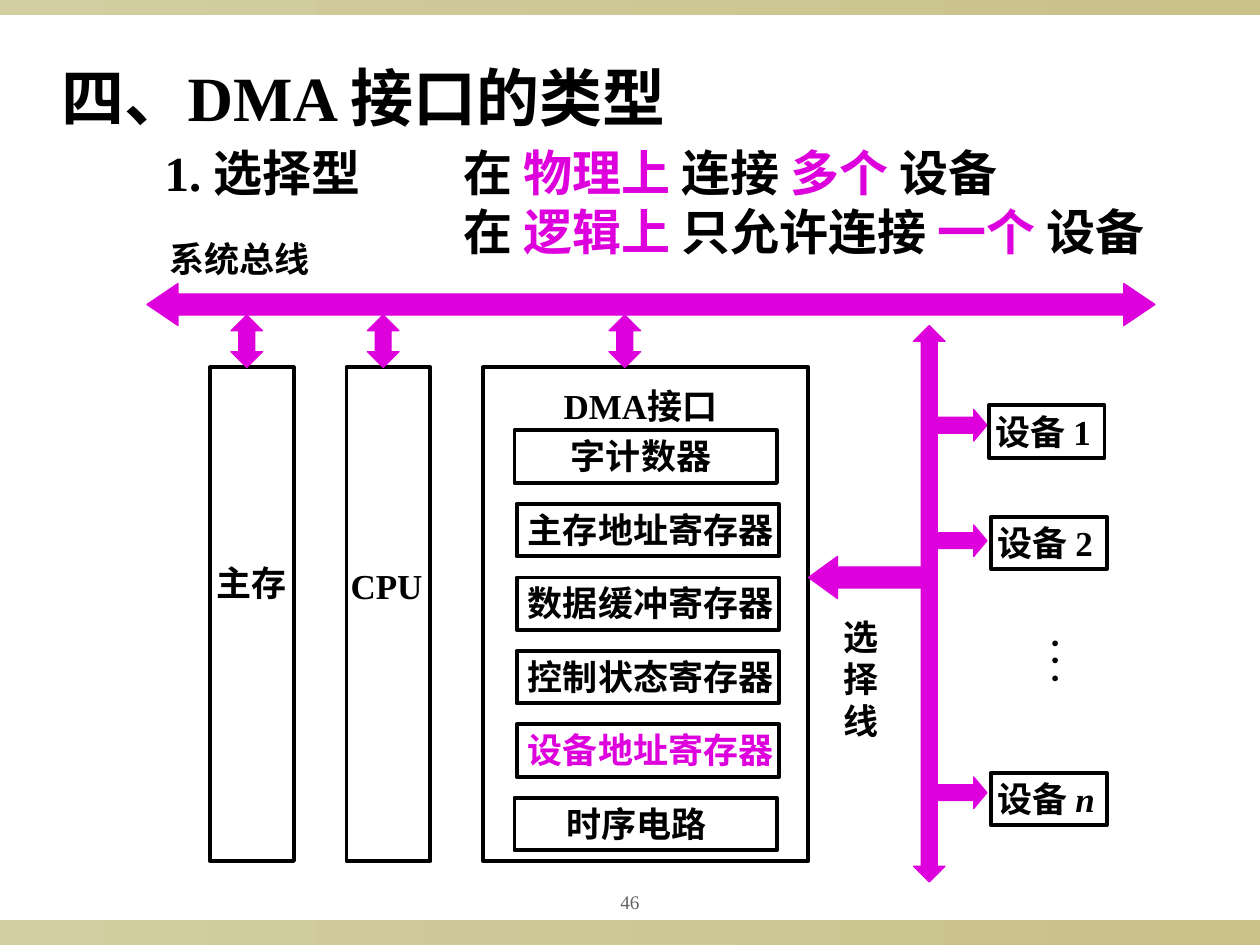
from dataclasses import dataclass

from pptx import Presentation
from pptx import util as u
from pptx.dml.color import RGBColor
from pptx.enum import shapes, text


@dataclass(frozen=True)
class Theme:
    font: str = "Times New Roman"
    ink: str = "000000"
    accent: str = "DD00DD"
    muted: str = "636363"
    band_start: str = "D3CEA1"
    band_end: str = "C8C18A"
    title: int = 36
    heading: int = 28
    label: int = 20
    footer: int = 11
    frame_line: float = 2.25
    arrow_line: float = 0.75


THEME = Theme()
COLUMNS, ROWS = 120, 90
LABEL_HEIGHT = 5.3
SHAPE = shapes.MSO_SHAPE


def apply(target, values):
    for name, value in values.items():
        setattr(target, name, value)


class Diagram:
    """Draws styled elements on one page; lengths are grid columns and rows."""

    def __init__(self, deck, theme):
        self.theme = theme
        self.column = deck.slide_width / COLUMNS
        self.row = deck.slide_height / ROWS
        self.page = deck.slides.add_slide(deck.slide_layouts[6])

    def place(self, left, top, width, height):
        return (round(left * self.column), round(top * self.row),
                round(width * self.column), round(height * self.row))

    def shape(self, kind, area):
        shape = self.page.shapes.add_shape(kind, *self.place(*area))
        shape.shadow.inherit = False
        return shape

    def band(self, area):
        band = self.shape(SHAPE.RECTANGLE, area)
        band.line.fill.background()
        band.fill.gradient()
        band.fill.gradient_angle = 0
        colors = (self.theme.band_start, self.theme.band_end)
        for stop, color in zip(band.fill.gradient_stops, colors):
            stop.color.rgb = RGBColor.from_string(color)

    def frame(self, *area):
        frame = self.shape(SHAPE.RECTANGLE, area)
        frame.fill.background()
        frame.line.color.rgb = RGBColor.from_string(self.theme.ink)
        frame.line.width = u.Pt(self.theme.frame_line)

    def arrow(self, kind, area, head, shaft=0.5):
        arrow = self.shape(kind, area)
        color = RGBColor.from_string(self.theme.accent)
        arrow.fill.solid()
        arrow.fill.fore_color.rgb = color
        arrow.line.color.rgb = color
        arrow.line.width = u.Pt(self.theme.arrow_line)
        # The up-down arrow lists its head before its shaft
        values = (head, shaft) if kind == SHAPE.UP_DOWN_ARROW else (shaft, head)
        for index, value in enumerate(values):
            arrow.adjustments[index] = value

    def text(self, area, lines, size=None, color=None, bold=True, align=None,
             **frame_format):
        """Each line is a string or a list of (words, font values, color)."""
        box = self.page.shapes.add_textbox(*self.place(*area))
        apply(box.text_frame, {
            "word_wrap": True,
            "auto_size": text.MSO_AUTO_SIZE.NONE,
            **frame_format,
        })
        for index, line in enumerate(lines):
            para = (box.text_frame.add_paragraph() if index
                    else box.text_frame.paragraphs[0])
            if align is not None:
                para.alignment = align
            spans = [(line, {}, None)] if isinstance(line, str) else line
            for words, values, span_color in spans:
                span = para.add_run()
                span.text = words
                apply(span.font, {
                    "name": self.theme.font,
                    "size": u.Pt(size or self.theme.label),
                    "bold": bold,
                    **values,
                })
                span.font.color.rgb = RGBColor.from_string(
                    span_color or color or self.theme.ink)
        return box


def connection(scope, link, count):
    """A heading line with its scope and count picked out."""
    return [("在 ", {}, None), (scope, {}, THEME.accent),
            (link, {}, None), (count, {}, THEME.accent), ("设备", {}, None)]


def draw_headings(diagram):
    diagram.band((0, 87.6, COLUMNS, 2.4))
    diagram.band((0, 0, COLUMNS, 1.4))
    diagram.text((54, 84, 12, 3.7), ["46"], THEME.footer, THEME.muted,
                 bold=False, align=text.PP_ALIGN.CENTER,
                 vertical_anchor=text.MSO_ANCHOR.MIDDLE,
                 margin_left=u.Inches(0.05), margin_right=u.Inches(0.05))
    diagram.text((4.7, 5, 65, 8.4), ["四、DMA 接口的类型"], THEME.title)
    diagram.text((14.5, 13, 24, 6.8), ["1. 选择型"], THEME.heading)
    diagram.text((43, 13, 73.2, 12.5), [
        connection("物理上 ", "连接 ", "多个 "),
        connection("逻辑上 ", "只允许连接 ", "一个 "),
    ], THEME.heading)


def draw_units(diagram):
    # Memory, CPU and DMA interface
    for left, width in ((20, 8), (33, 8), (46, 31)):
        diagram.frame(left, 35, width, 47)
    diagram.text((19.4, 52.9, 10, LABEL_HEIGHT), ["主存"])
    diagram.text((32.2, 53.2, 10.2, LABEL_HEIGHT), ["CPU"])
    diagram.text((52.5, 36, 19, LABEL_HEIGHT), ["DMA接口"])

    # Parts inside the interface: name, frame left, label left, width, colour
    parts = (
        ("字计数器", 49, 53.2, 17, THEME.ink),
        ("主存地址寄存器", 49.2, 49.1, 27, THEME.ink),
        ("数据缓冲寄存器", 49.2, 49.1, 27, THEME.ink),
        ("控制状态寄存器", 49.2, 49.1, 27, THEME.ink),
        ("设备地址寄存器", 49.2, 49.1, 27, THEME.accent),
        ("时序电路", 49, 52.8, 17, THEME.ink),
    )
    for index, (name, left, label_left, width, color) in enumerate(parts):
        top = 41 + 7 * index
        diagram.frame(left, top, 25, 5)
        diagram.text((label_left, top - 0.2, width, LABEL_HEIGHT), [name],
                     color=color)


def draw_buses(diagram):
    # System bus and its taps
    diagram.arrow(SHAPE.LEFT_RIGHT_ARROW, (14, 27, 96, 4), 0.74)
    diagram.text((15, 22, 17, LABEL_HEIGHT), ["系统总线"])
    for left in (22, 35, 58):
        diagram.arrow(SHAPE.UP_DOWN_ARROW, (left, 30, 3, 5), 0.33)

    # Select line
    diagram.arrow(SHAPE.UP_DOWN_ARROW, (87, 31, 3, 53), 1.42)
    diagram.arrow(SHAPE.LEFT_ARROW, (77, 53, 11, 4), 0.69)
    diagram.text((79.2, 58, 6.5, 13.2), list("选择线"))


def draw_devices(diagram):
    devices = (
        ("1", {}, 94.2, 38.6, 39),
        ("2", {}, 94.4, 49.2, 50),
        ("n", {"italic": True}, 94.4, 73.6, 74),
    )
    for number, values, left, top, arrow_top in devices:
        diagram.arrow(SHAPE.RIGHT_ARROW, (89, arrow_top, 5, 3), 0.42)
        diagram.frame(left, top, 11, 5)
        diagram.text((left - 0.6, top - 0.1, 14, LABEL_HEIGHT),
                     [[("设备 ", {}, None), (number, values, None)]])

    # Vertical ellipsis between the devices
    side, end = u.Inches(0.05), u.Inches(0.1)
    dots = diagram.text((97.8, 59.7, 6.4, 5.4), [". . ."],
                        word_wrap=False,
                        auto_size=text.MSO_AUTO_SIZE.SHAPE_TO_FIT_TEXT,
                        margin_left=side, margin_right=side,
                        margin_top=end, margin_bottom=end)
    dots.text_frame._txBody.bodyPr.set("vert", "eaVert")


def main():
    deck = Presentation()
    deck.slide_width, deck.slide_height = u.Inches(10), u.Inches(7.5)
    diagram = Diagram(deck, THEME)
    for draw in (draw_headings, draw_units, draw_buses, draw_devices):
        draw(diagram)
    deck.save("out.pptx")


if __name__ == "__main__":
    main()
